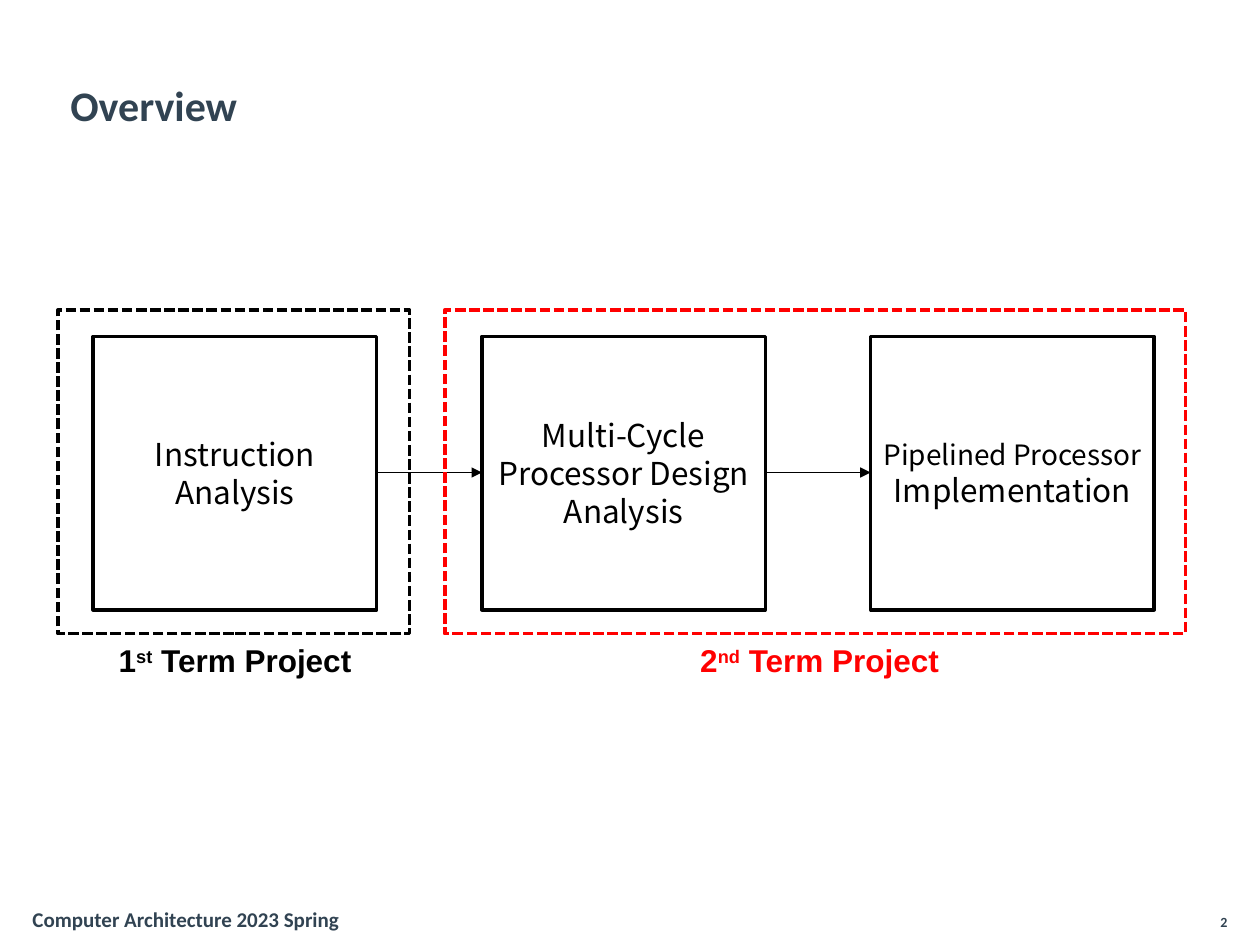
from dataclasses import dataclass
from typing import Optional

from lxml.etree import SubElement
from pptx import Presentation
from pptx.dml.color import RGBColor
from pptx.enum.dml import MSO_LINE
from pptx.enum.shapes import MSO_CONNECTOR, MSO_SHAPE
from pptx.enum.text import MSO_ANCHOR, PP_ALIGN
from pptx.oxml.ns import qn
from pptx.util import Inches, Pt

COLORS = {"slate": "314352", "black": "000000", "red": "FF0000"}
LABEL = {"size": Pt(18), "name": "Arial", "bold": True}
STAGE = {"size": Pt(18), "name": "Noto Sans CJK KR", "bold": False}
WIDTH, HEIGHT = 10, 7.5
STAGE_TOP, STAGE_WIDTH, STAGE_HEIGHT = 2.67, 2.25, 2.17
STAGE_LEFT, STAGE_PITCH = 0.74, 3.085
FRAME_TOP, FRAME_HEIGHT = 2.46, 2.57


@dataclass
class Span:
    text: str
    size: Optional[float] = None
    raised: bool = False


@dataclass
class Term:
    left: float
    width: float
    label_left: float
    label_width: float
    ordinal: str
    suffix: str
    color: str


@dataclass
class Caption:
    area: tuple
    text: str
    size: int
    align: PP_ALIGN


STAGES = [
    [[Span("Instruction Analysis")]],
    [[Span("Multi-Cycle Processor Design")], [Span("Analysis")]],
    [[Span("Pipelined Processor ", 16), Span("Implementation")]],
]
TERMS = [
    Term(0.46, 2.79, 0.82, 2.09, "1", "st", "black"),
    Term(3.53, 5.88, 5.38, 2.25, "2", "nd", "red"),
]
CAPTIONS = [
    Caption((6.57, 7.19, 3.27, 0.25), "2", 8, PP_ALIGN.RIGHT),
    Caption((0.16, 7.14, 3.27, 0.31), "Computer Architecture 2023 Spring", 12, PP_ALIGN.LEFT),
    Caption((0.46, 0.58, 9.12, 0.5), "Overview", 24, PP_ALIGN.LEFT),
]


def write(shape, paragraphs: list, style: dict, color: str, align: PP_ALIGN) -> None:
    frame = shape.text_frame
    for name, value in {"word_wrap": True, "vertical_anchor": MSO_ANCHOR.MIDDLE}.items():
        setattr(frame, name, value)
    for index, spans in enumerate(paragraphs):
        para = frame.add_paragraph() if index else frame.paragraphs[0]
        para.alignment = align
        for span in spans:
            run = para.add_run()
            run.text = span.text
            for name, value in style.items():
                setattr(run.font, name, value)
            run.font.color.rgb = RGBColor.from_string(COLORS[color])
            if span.size:
                run.font.size = Pt(span.size)
            properties = run.font._element
            SubElement(properties, qn("a:ea")).set("typeface", style["name"])
            if span.raised:
                properties.set("baseline", "30000")


def add_text(page, area: tuple, spans: list, style: dict, color: str, align: PP_ALIGN) -> None:
    box = page.shapes.add_textbox(*map(Inches, area))
    write(box, [spans], style, color, align)


def add_outline(page, area: tuple, color: str, dash: Optional[MSO_LINE] = None):
    box = page.shapes.add_shape(MSO_SHAPE.RECTANGLE, *map(Inches, area))
    box.shadow.inherit = False
    box.fill.background()
    box.line.color.rgb = RGBColor.from_string(COLORS[color])
    box.line.width = Pt(2)
    if dash:
        box.line.dash_style = dash
    return box


def add_arrow(page, start: float, end: float, height: float) -> None:
    arrow = page.shapes.add_connector(
        MSO_CONNECTOR.STRAIGHT, *map(Inches, (start, height, end, height)))
    arrow.line.color.rgb = RGBColor.from_string(COLORS["black"])
    arrow.line.width = Pt(0.75)
    SubElement(arrow.line._get_or_add_ln(), qn("a:tailEnd")).set("type", "triangle")
    SubElement(arrow._element.spPr, qn("a:effectLst"))


def main() -> None:
    """Build the term project overview slide."""
    deck = Presentation()
    deck.slide_width, deck.slide_height = Inches(WIDTH), Inches(HEIGHT)
    page = deck.slides.add_slide(deck.slide_layouts[6])
    for caption in CAPTIONS:
        style = {"size": Pt(caption.size), "name": "Calibri", "bold": True}
        add_text(page, caption.area, [Span(caption.text)], style, "slate", caption.align)
    for column, paragraphs in enumerate(STAGES):
        left = STAGE_LEFT + column * STAGE_PITCH
        box = add_outline(page, (left, STAGE_TOP, STAGE_WIDTH, STAGE_HEIGHT), "black")
        write(box, paragraphs, STAGE, "black", PP_ALIGN.CENTER)
        if column:
            add_arrow(page, left - STAGE_PITCH + STAGE_WIDTH, left, HEIGHT / 2)
    for term in TERMS:
        spans = [Span(term.ordinal), Span(term.suffix, raised=True), Span(" Term Project")]
        add_text(page, (term.label_left, 5.04, term.label_width, 0.4), spans,
                 LABEL, term.color, PP_ALIGN.CENTER)
        add_outline(page, (term.left, FRAME_TOP, term.width, FRAME_HEIGHT),
                    term.color, MSO_LINE.SQUARE_DOT)
    deck.save("out.pptx")


if __name__ == "__main__":
    main()
